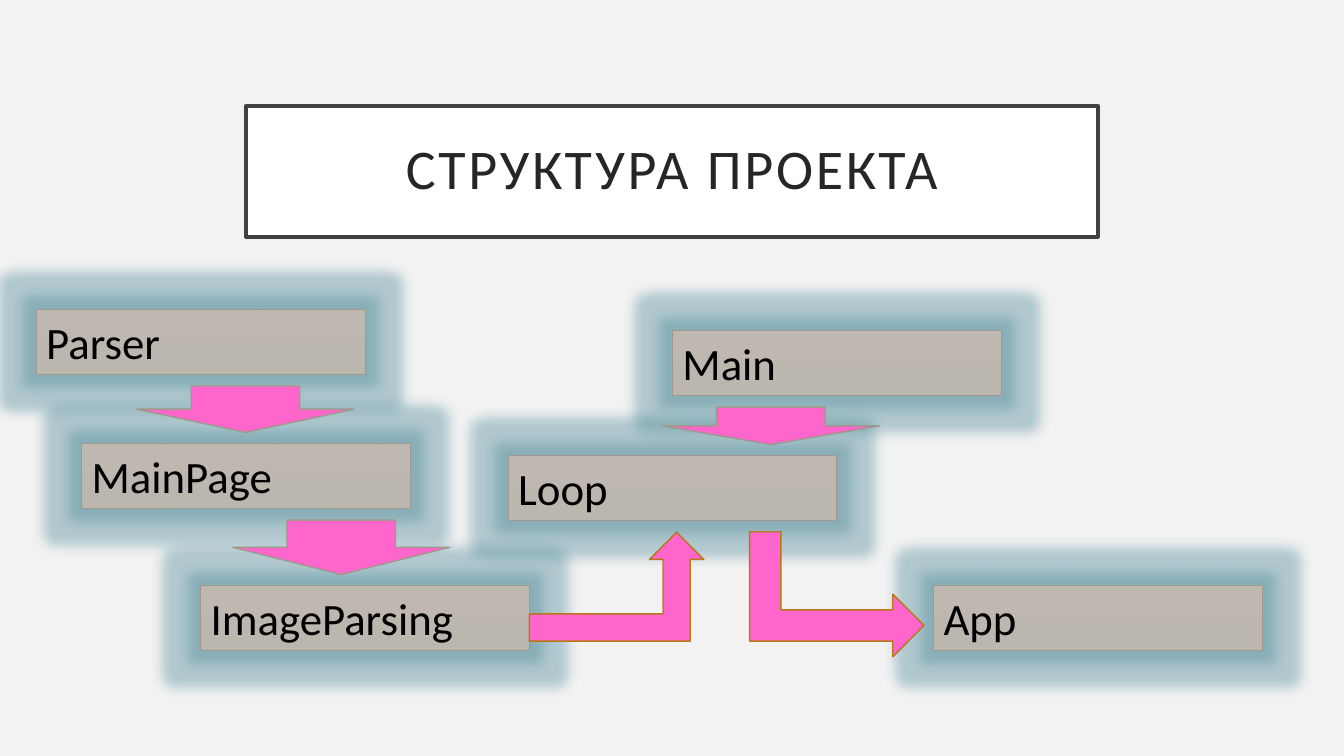
from dataclasses import dataclass

from lxml import etree
from pptx import Presentation
from pptx import util as u
from pptx.dml.color import RGBColor
from pptx.enum import shapes, text
from pptx.oxml.ns import qn

TITLE = "СТРУКТУРА ПРОЕКТА"
TITLE_AT = (18.3, 14, 63.39, 17.33)
MODULES = {
    "Parser": (2.7, 40.93),
    "ImageParsing": (14.93, 77.47),
    "MainPage": (6.08, 58.67),
    "App": (69.47, 77.47),
    "Main": (50.04, 43.73),
    "Loop": (37.81, 60.27),
}
DOWN_STEPS = [
    ("Parser", "MainPage", 10.2),
    ("MainPage", "ImageParsing", 17.33),
    ("Main", "Loop", 49.29),
]
BENT_ARROWS = [
    ((39.39, 70.4, 12.98, 14.4), 0),
    ((57.61, 67.07, 9.3, 23.07), 90),
]
BOX_W, BOX_H = 24.46, 8.53
ARROW_W = 16.13
GAP_ABOVE, GAP_BELOW = 1.6, 1.47


@dataclass(frozen=True)
class Theme:
    font: str = "Calibri"
    title_size: int = 40
    box_size: int = 32
    background: str = "F2F2F2"
    title_fill: str = "FFFFFF"
    title_line: str = "404040"
    title_text: str = "262626"
    box_fill: tuple = ("BEB8B1", "BBB6AE")
    box_line: str = "A0988C"
    box_text: str = "000000"
    arrow: str = "FF66CC"
    bent_line: str = "B67815"
    glow: str = "4D8998"


T = Theme()
SHAPE = shapes.MSO_SHAPE
rgb = RGBColor.from_string

prs = Presentation()
prs.slide_width, prs.slide_height = u.Inches(13.33), u.Inches(7.5)
s = prs.slides.add_slide(prs.slide_layouts[6])
s.background.fill.solid()
s.background.fill.fore_color.rgb = rgb(T.background)


def add_part(kind, at, fill, line, width):
    x, y, w, h = at
    sp = s.shapes.add_shape(
        kind,
        int(prs.slide_width * x / 100), int(prs.slide_height * y / 100),
        int(prs.slide_width * w / 100), int(prs.slide_height * h / 100))
    sp.shadow.inherit = False
    if isinstance(fill, tuple):
        sp.fill.gradient()
        sp.fill.gradient_angle = 270
        for stop, color, position in zip(sp.fill.gradient_stops, fill, (0, 1)):
            stop.color.rgb = rgb(color)
            stop.position = position
    else:
        sp.fill.solid()
        sp.fill.fore_color.rgb = rgb(fill)
    sp.line.color.rgb = rgb(line)
    sp.line.width = u.Pt(width)
    return sp


def write(sp, words, size, color, align, anchor):
    tf = sp.text_frame
    tf.word_wrap = True
    tf.vertical_anchor = anchor
    p = tf.paragraphs[0]
    p.text = words
    p.alignment = align
    p.font.name = T.font
    p.font.size = u.Pt(size)
    p.font.color.rgb = rgb(color)
    return tf


def add_glow(sp, points, alpha):
    effects = sp._element.spPr.find(qn("a:effectLst"))
    glow = etree.SubElement(effects, qn("a:glow"), rad=str(u.Pt(points)))
    color = etree.SubElement(glow, qn("a:srgbClr"), val=T.glow)
    etree.SubElement(color, qn("a:alpha"), val=str(alpha * 1000))


title = add_part(SHAPE.RECTANGLE, TITLE_AT, T.title_fill, T.title_line, 2.5)
tf = write(title, TITLE, T.title_size, T.title_text,
           text.PP_ALIGN.CENTER, text.MSO_ANCHOR.MIDDLE)
tf.margin_left = tf.margin_right = tf.margin_top = tf.margin_bottom = u.Inches(0.2)
tf.paragraphs[0].line_spacing = 0.9
tf.paragraphs[0].runs[0].font._element.set("spc", "200")

for name, (x, y) in MODULES.items():
    box = add_part(SHAPE.RECTANGLE, (x, y, BOX_W, BOX_H), T.box_fill, T.box_line, 0.5)
    tf = write(box, name, T.box_size, T.box_text,
               text.PP_ALIGN.LEFT, text.MSO_ANCHOR.TOP)
    tf.auto_size = text.MSO_AUTO_SIZE.SHAPE_TO_FIT_TEXT
    add_glow(box, 18, 40)

for source, target, x in DOWN_STEPS:
    top = MODULES[source][1] + BOX_H + GAP_ABOVE
    height = MODULES[target][1] - GAP_BELOW - top
    add_part(SHAPE.DOWN_ARROW, (x, top, ARROW_W, height), T.arrow, T.box_line, 1)

for at, turn in BENT_ARROWS:
    arrow = add_part(SHAPE.BENT_UP_ARROW, at, T.arrow, T.bent_line, 1)
    arrow.rotation = turn

prs.save("out.pptx")
